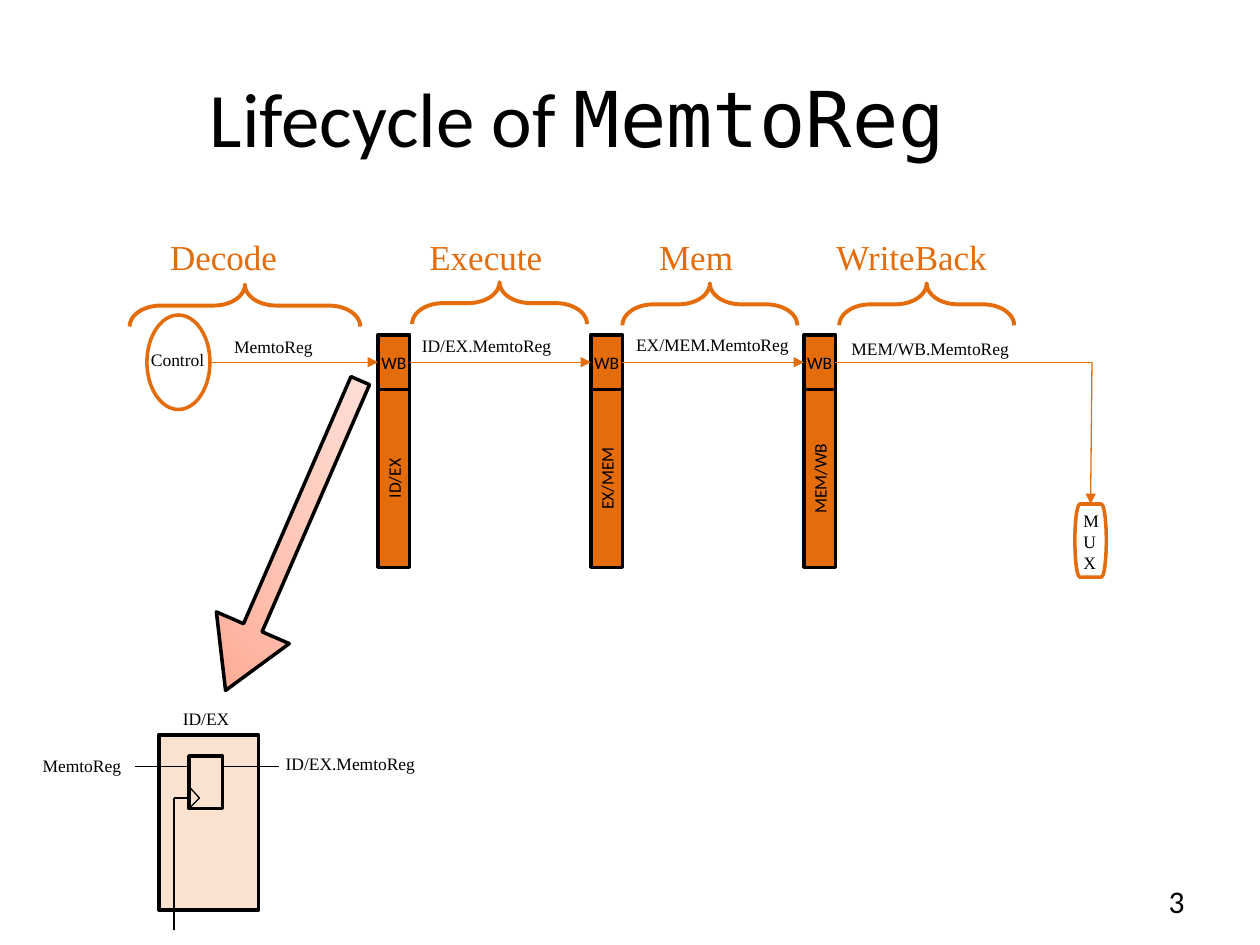
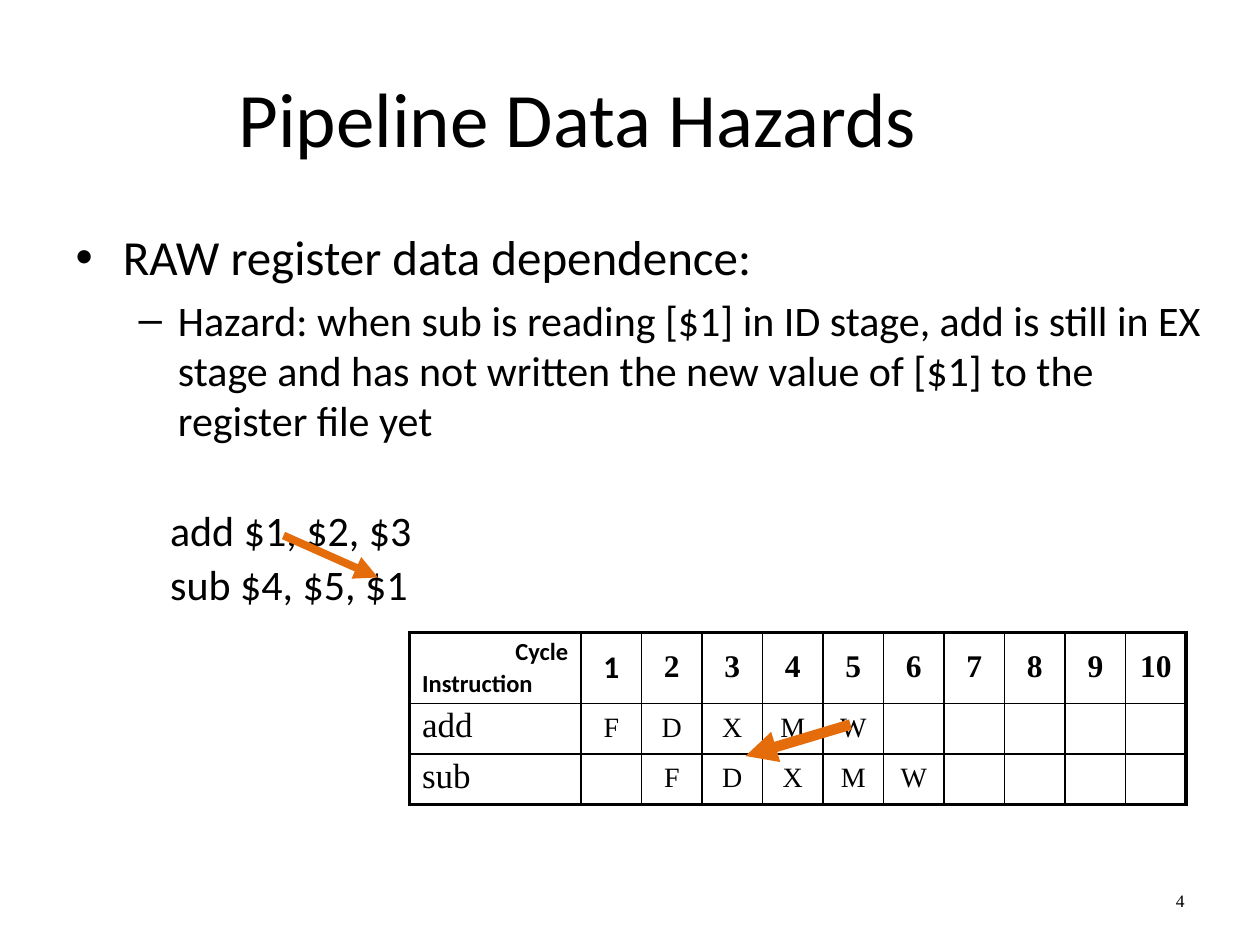
from lxml.etree import SubElement
from pptx import Presentation
from pptx.dml.color import RGBColor
from pptx.enum.shapes import MSO_CONNECTOR, MSO_SHAPE
from pptx.enum.text import MSO_ANCHOR, MSO_AUTO_SIZE, PP_ALIGN
from pptx.oxml import parse_xml
from pptx.oxml.ns import nsdecls, qn
from pptx.util import Pt

ORANGE, BLACK, WHITE = "E46C0A", "000000", "FFFFFF"
SANS, SERIF, MONO = "Calibri", "Times New Roman", "DejaVu Sans Mono"
LEFT, CENTER, RIGHT = PP_ALIGN.LEFT, PP_ALIGN.CENTER, PP_ALIGN.RIGHT
TITLE_BOX = (36, 21.6, 588, 90)
NUMBER_BOX = (600, 500.4, 84, 28.8)


def rgb(value):
    return RGBColor.from_string(value)


def pts(*values):
    return [Pt(v) for v in values]


def add_run(p, text, size=10, font=SERIF, color=BLACK, bold=False):
    r = p.add_run()
    r.text = text
    r.font.size, r.font.name, r.font.bold = Pt(size), font, bold
    r.font.color.rgb = rgb(color)


def write(tf, texts, align=LEFT, spacing=None, before=0, **fmt):
    """Fill a text frame with one paragraph per text."""
    for i, text in enumerate(texts):
        p = tf.paragraphs[0] if i == 0 else tf.add_paragraph()
        p.alignment = align
        if spacing:
            p.line_spacing = spacing
        p.space_before = Pt(before if i else 0)
        add_run(p, text, **fmt)


def set_bullet(p, char, left, indent):
    pPr = p._p.get_or_add_pPr()
    pPr.set("marL", str(Pt(left)))
    pPr.set("indent", str(Pt(indent)))
    if char:
        SubElement(pPr, qn("a:buChar")).set("char", char)
    else:
        SubElement(pPr, qn("a:buNone"))


class Deck:
    """Holds the presentation, its style and the slide being built."""

    def __init__(self):
        self.prs = Presentation()
        self.prs.slide_width, self.prs.slide_height = pts(720, 540)

    def slide(self, layout, title, number, **number_fmt):
        self.s = self.prs.slides.add_slide(self.prs.slide_layouts[layout])
        self.shapes = self.s.shapes
        tf = self.place(self.s.shapes.title, TITLE_BOX, MSO_ANCHOR.MIDDLE)
        p = tf.paragraphs[0]
        p.alignment = CENTER
        for text, font in title:
            add_run(p, text, size=44, font=font)
        self.text(NUMBER_BOX, [number], align=RIGHT, anchor=MSO_ANCHOR.MIDDLE, **number_fmt)

    def place(self, ph, box, anchor=MSO_ANCHOR.TOP):
        ph.left, ph.top, ph.width, ph.height = pts(*box)
        tf = ph.text_frame
        tf.auto_size, tf.vertical_anchor, tf.word_wrap = MSO_AUTO_SIZE.NONE, anchor, True
        return tf

    def bullets(self, idx, box, items, spacing=None):
        """Items are (text, size, level, bullet, left, indent)."""
        tf = self.place(self.s.placeholders[idx], box)
        for i, (text, size, level, char, left, indent) in enumerate(items):
            p = tf.paragraphs[0] if i == 0 else tf.add_paragraph()
            p.level = level
            set_bullet(p, char, left, indent)
            p.space_before = Pt(size * 0.2 if i else 0)
            if spacing:
                p.line_spacing = spacing
            add_run(p, text, size=size, font=SANS)

    def text(self, box, texts, wrap=True, anchor=MSO_ANCHOR.TOP, **fmt):
        tf = self.shapes.add_textbox(*pts(*box)).text_frame
        tf.word_wrap, tf.vertical_anchor = wrap, anchor
        write(tf, texts, **fmt)

    def shape(self, kind, box, fill=None, line=BLACK, width=2, alpha=None,
              rotation=0, adjust=()):
        sp = self.shapes.add_shape(kind, *pts(*box))
        sp.shadow.inherit = False
        sp.rotation = rotation
        for i, value in enumerate(adjust):
            sp.adjustments[i] = value
        if fill:
            sp.fill.solid()
            sp.fill.fore_color.rgb = rgb(fill)
        else:
            sp.fill.background()
        if alpha:
            color = sp._element.spPr.find(qn("a:solidFill"))[0]
            SubElement(color, qn("a:alpha")).set("val", str(alpha * 1000))
        sp.line.color.rgb, sp.line.width = rgb(line), Pt(width)
        return sp

    def block(self, box, text, vertical=False):
        """Orange pipeline register part with a centred label."""
        sp = self.shape(MSO_SHAPE.RECTANGLE, box, fill=ORANGE)
        tf = sp.text_frame
        tf.margin_left = tf.margin_right = tf.margin_top = tf.margin_bottom = 0
        tf.vertical_anchor = MSO_ANCHOR.MIDDLE
        if vertical:
            tf._txBody.bodyPr.set("vert", "vert270")
        write(tf, [text], align=CENTER, font=SANS)
        return sp

    def line(self, start, end, color=ORANGE, width=0.75, arrow=False, begin=None, finish=None):
        """Begin and finish are (shape, connection site)."""
        c = self.shapes.add_connector(MSO_CONNECTOR.STRAIGHT, *pts(*start, *end))
        if begin:
            c.begin_connect(*begin)
        if finish:
            c.end_connect(*finish)
        c.line.color.rgb, c.line.width = rgb(color), Pt(width)
        spPr = c._element.spPr
        if arrow:
            SubElement(spPr.find(qn("a:ln")), qn("a:tailEnd")).set("type", "triangle")
        SubElement(spPr, qn("a:effectLst"))

    def table(self, box, widths, heights):
        frame = self.shapes.add_table(len(heights), len(widths), *pts(*box))
        table = frame.table
        table.first_row = table.horz_banding = False
        for col, w in zip(table.columns, widths):
            col.width = Pt(w)
        for row, h in zip(table.rows, heights):
            row.height = Pt(h)
        return table

    def cell(self, table, row, col, texts, anchor=MSO_ANCHOR.MIDDLE, **fmt):
        cell = table.cell(row, col)
        outer = {"L": col == 0, "R": col == len(table.columns) - 1,
                 "T": row == 0, "B": row == len(table.rows) - 1}
        tcPr = cell._tc.get_or_add_tcPr()
        for side, is_outer in outer.items():
            ln = SubElement(tcPr, qn(f"a:ln{side}"), w=str(Pt(2.25 if is_outer else 1)))
            fill = SubElement(ln, qn("a:solidFill"))
            SubElement(fill, qn("a:srgbClr")).set("val", BLACK)
        cell.fill.solid()
        cell.fill.fore_color.rgb = rgb(WHITE)
        cell.vertical_anchor = anchor
        write(cell.text_frame, texts, spacing=0.9, before=2.8, **fmt)
        return cell


def lifecycle(d):
    d.slide(5, [("Lifecycle of ", SANS), ("MemtoReg", MONO)], "3", size=18, font=SANS)

    # Stage braces and names: name, name centre, brace centre x and y, span
    for name, name_x, x, y, span in [("Decode", 127.8, 140, 174.6, 131.8),
                                     ("Execute", 277.6, 285.5, 173.2, 100),
                                     ("Mem", 397.8, 405.7, 173.9, 100),
                                     ("WriteBack", 521, 529.6, 173.9, 100)]:
        d.shape(MSO_SHAPE.RIGHT_BRACE, (x - 12, y - span / 2, 24, span), line=ORANGE,
                width=2.25, rotation=270, adjust=(0.743, 0.5))
        d.text((name_x - 51, 131, 102, 31.7), [name], align=CENTER, size=20, color=ORANGE)

    # Pipeline registers
    wb = []
    for i, name in enumerate(["ID/EX", "EX/MEM", "MEM/WB"]):
        x = 216 + 121.7 * i
        d.block((x, 222.7, 18, 101.5), name, vertical=True)
        wb.append(d.block((x, 191.3, 18, 31.4), "WB"))

    # Control and multiplexer
    d.shape(MSO_SHAPE.OVAL, (84, 180, 36, 54), line=ORANGE)
    d.text((79.2, 195.8, 45.4, 19.4), ["Control"], wrap=False)
    mux = d.shape(MSO_SHAPE.FLOWCHART_TERMINATOR, (614.2, 288, 18, 41.8), line=ORANGE)
    d.text((612, 288, 23.8, 43.9), ["M", "U", "X"], wrap=False)

    # Signal wires and their names
    y = 207
    d.line((120, y), (216, y), arrow=True, finish=(wb[0], 1))
    for left, right in zip(wb, wb[1:]):
        d.line((234, y), (337.7, y), arrow=True, begin=(left, 3), finish=(right, 1))
    d.line((477.4, y), (624, y), begin=(wb[2], 3))
    d.line((624, y), (623.2, 288), arrow=True, finish=(mux, 0))
    for x, top, w, name in [(126.7, 188.6, 59.8, "MemtoReg"),
                            (234, 187.9, 89.3, "ID/EX.MemtoReg"),
                            (356.4, 187.2, 103, "EX/MEM.MemtoReg"),
                            (479.5, 189.4, 105.8, "MEM/WB.MemtoReg"),
                            (17.3, 427.7, 59.8, "MemtoReg"),
                            (156.2, 427, 89.3, "ID/EX.MemtoReg")]:
        d.text((x, top, w, 19.4), [name], wrap=False)

    # Zoom arrow to the register detail
    arrow = d.shape(MSO_SHAPE.DOWN_ARROW, (144.7, 209.5, 45.4, 193), rotation=23.5,
                    adjust=(0.254, 0.859))
    stops = "".join(f'<a:gs pos="{pos * 1000}"><a:srgbClr val="{color}"/></a:gs>'
                    for pos, color in [(0, "FFA78E"), (50, "FFC8BA"), (100, "FFE3DD")])
    spPr = arrow._element.spPr
    spPr.replace(spPr.find(qn("a:noFill")), parse_xml(
        f'<a:gradFill {nsdecls("a")} rotWithShape="1"><a:gsLst>{stops}</a:gsLst>'
        '<a:path path="circle"><a:fillToRect t="100000" r="100000"/></a:path></a:gradFill>'))

    # Register detail: flip-flop with clock input
    d.text((89.3, 401, 56.9, 19.4), ["ID/EX"], align=CENTER)
    d.shapes = d.s.shapes.add_group_shape().shapes
    d.shape(MSO_SHAPE.RECTANGLE, (90.7, 420, 57, 100), fill=ORANGE, alpha=19)
    d.shape(MSO_SHAPE.RECTANGLE, (108, 432, 19.2, 30))
    for start, end in [((108, 462), (114, 456)), ((108, 449.5), (114, 456)),
                       ((77, 438), (108, 438)), ((127.2, 438), (159.6, 438)),
                       ((108, 456), (99.5, 456)), ((99.5, 456), (99.5, 531.5))]:
        d.line(start, end, color=BLACK)


def hazards(d):
    d.slide(3, [("Pipeline Data Hazards", SANS)], "4")

    # Explanation and code
    d.bullets(1, (36, 126, 666, 403), [
        ("RAW register data dependence:", 28, 0, "•", 27, -27),
        ("Hazard: when sub is reading [$1] in ID stage, add is still in EX stage and "
         "has not written the new value of [$1] to the register file yet",
         24, 1, "–", 58.5, -22.5)])
    d.bullets(2, (54, 288, 612, 168), [(code, 24, 1, None, 36, 0) for code in
                                       ["add $1, $2, $3", "sub $4, $5, $1"]], spacing=0.9)
    d.line((162, 306), (216, 330), width=4.5, arrow=True)

    # Pipeline timing table
    cycles = 10
    table = d.table((234, 361.5, 444, 98.1), [98] + [34.6] * cycles, [40.5, 28.8, 28.8])
    head = d.cell(table, 0, 0, ["Cycle", "Instruction"], size=14, font=SANS, bold=True)
    head.text_frame.paragraphs[0].alignment = RIGHT
    for n in range(1, cycles + 1):
        d.cell(table, 0, n, [str(n)], align=CENTER, size=18, bold=True,
               font=SANS if n == 1 else SERIF)
    for row, name in enumerate(["add", "sub"], 1):
        d.cell(table, row, 0, [name], anchor=MSO_ANCHOR.TOP, size=20)
        stages = dict(enumerate("FDXMW", row))
        for n in range(1, cycles + 1):
            d.cell(table, row, n, [stages.get(n, "")], align=CENTER, size=16)
    d.line((486, 414), (426, 432), width=6, arrow=True)


def main():
    d = Deck()
    lifecycle(d)
    hazards(d)
    d.prs.save("out.pptx")


if __name__ == "__main__":
    main()
